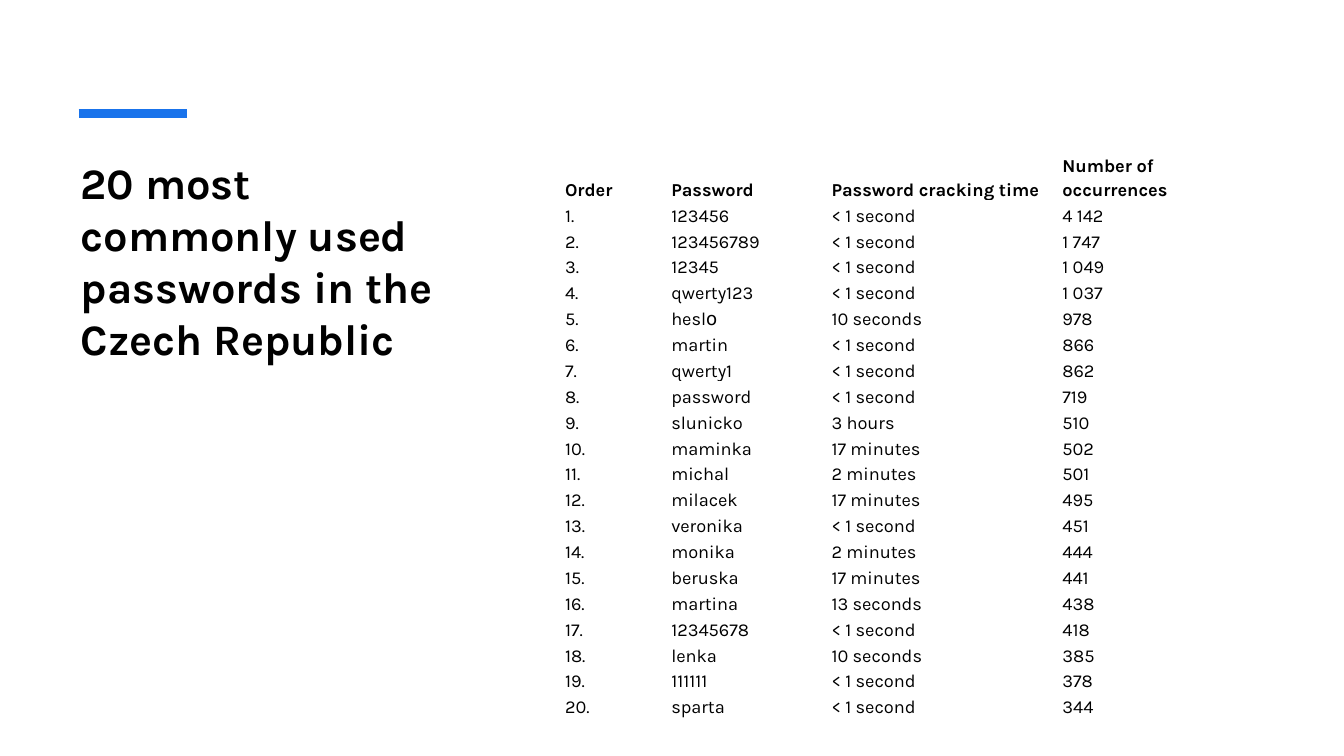
from dataclasses import dataclass

from pptx import Presentation
from pptx.dml.color import RGBColor
from pptx.enum import shapes, text
from pptx.oxml.ns import qn
from pptx.util import Pt
from lxml import etree


@dataclass(frozen=True)
class Theme:
    font: str = "Karla"
    fallback_font: str = "Arial"
    ink: RGBColor = RGBColor(0x00, 0x00, 0x00)
    accent: RGBColor = RGBColor(0x19, 0x73, 0xEB)
    title_size: int = 31
    table_size: int = 13
    line_spacing: float = 1.15


THEME = Theme()
ARMENIAN_O = "օ"
TITLE = "20 most commonly used passwords in the Czech Republic"
HEADINGS = ("Order", "Password", "Password cracking time", "Number of occurrences")
PASSWORDS = (
    ("123456", "< 1 second", "4 142"),
    ("123456789", "< 1 second", "1 747"),
    ("12345", "< 1 second", "1 049"),
    ("qwerty123", "< 1 second", "1 037"),
    ("heslօ", "10 seconds", "978"),
    ("martin", "< 1 second", "866"),
    ("qwerty1", "< 1 second", "862"),
    ("password", "< 1 second", "719"),
    ("slunicko", "3 hours", "510"),
    ("maminka", "17 minutes", "502"),
    ("michal", "2 minutes", "501"),
    ("milacek", "17 minutes", "495"),
    ("veronika", "< 1 second", "451"),
    ("monika", "2 minutes", "444"),
    ("beruska", "17 minutes", "441"),
    ("martina", "13 seconds", "438"),
    ("12345678", "< 1 second", "418"),
    ("lenka", "10 seconds", "385"),
    ("111111", "< 1 second", "378"),
    ("sparta", "< 1 second", "344"),
)
COLUMN_WIDTHS = (75.9, 114.5, 164.9, 144)
ROW_HEIGHT = 18.5


def add_run(para, words, size, bold=False, font=THEME.font):
    span = para.add_run()
    span.text = words
    span.font.name = font
    span.font.size = Pt(size)
    span.font.bold = bold
    span.font.color.rgb = THEME.ink


def set_title(page):
    title = page.shapes.title
    title.left, title.top, title.width, title.height = Pt(50.4), Pt(108), Pt(289.4), Pt(308.9)
    frame = title.text_frame
    frame.word_wrap = True
    frame.auto_size = text.MSO_AUTO_SIZE.NONE
    frame.vertical_anchor = text.MSO_ANCHOR.TOP
    para = frame.paragraphs[0]
    para.alignment = text.PP_ALIGN.LEFT
    para.line_spacing = 1.0
    add_run(para, TITLE, THEME.title_size, bold=True)


def add_accent_line(page):
    line = page.shapes.add_connector(
        shapes.MSO_CONNECTOR.STRAIGHT, Pt(56.2), Pt(81.2), Pt(133.4), Pt(81.2))
    line.line.color.rgb = THEME.accent
    line.line.width = Pt(6)
    etree.SubElement(line.element.spPr, qn("a:effectLst"))


def fill_cell(cell, words, bold):
    cell.fill.background()
    cell.vertical_anchor = text.MSO_ANCHOR.BOTTOM
    cell.margin_left = cell.margin_top = Pt(0.75)
    cell.margin_right = Pt(1)
    cell.margin_bottom = Pt(0)
    para = cell.text_frame.paragraphs[0]
    para.line_spacing = THEME.line_spacing
    para.space_after = Pt(8)
    # Karla has no Armenian letters
    before, letter, after = words.partition(ARMENIAN_O)
    for part, font in ((before, THEME.font), (letter, THEME.fallback_font), (after, THEME.font)):
        if part:
            add_run(para, part, THEME.table_size, bold, font)


def add_password_table(page):
    rows = [HEADINGS]
    rows += [(f"{order}.", *entry) for order, entry in enumerate(PASSWORDS, 1)]
    table = page.shapes.add_table(
        len(rows), len(HEADINGS), Pt(402.9), Pt(108),
        Pt(sum(COLUMN_WIDTHS)), Pt(ROW_HEIGHT * len(rows))).table
    table.first_row = table.horz_banding = False
    for column, width in zip(table.columns, COLUMN_WIDTHS):
        column.width = Pt(width)
    for row_index, (row, values) in enumerate(zip(table.rows, rows)):
        row.height = Pt(ROW_HEIGHT)
        for cell, words in zip(row.cells, values):
            fill_cell(cell, words, bold=row_index == 0)


def main():
    deck = Presentation()
    deck.slide_width, deck.slide_height = Pt(960), Pt(540)
    page = deck.slides.add_slide(deck.slide_layouts.get_by_name("Title Only"))
    set_title(page)
    add_accent_line(page)
    add_password_table(page)
    deck.save("out.pptx")


if __name__ == "__main__":
    main()
